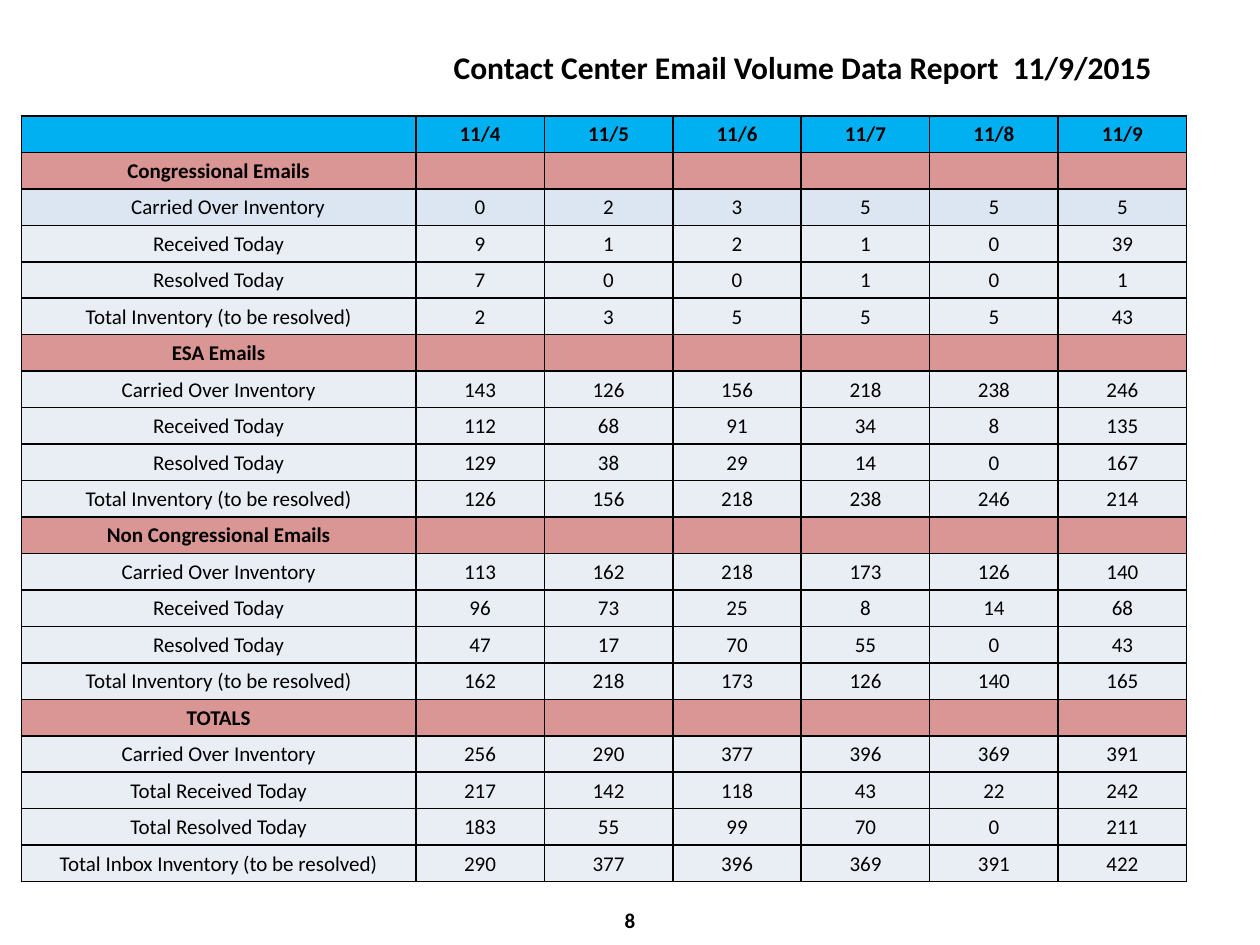
"""Build the contact center email volume report slide."""
from dataclasses import dataclass

from lxml import etree
from pptx import Presentation
from pptx.dml.color import RGBColor
from pptx.enum.text import MSO_ANCHOR, MSO_AUTO_SIZE, PP_ALIGN
from pptx.oxml.ns import qn
from pptx.util import Pt

LEFT, CENTER = PP_ALIGN.LEFT, PP_ALIGN.CENTER
TOP, MIDDLE = MSO_ANCHOR.TOP, MSO_ANCHOR.MIDDLE
GROW = MSO_AUTO_SIZE.SHAPE_TO_FIT_TEXT

FONT = "Calibri"
BLACK, HEADER_BLUE, SECTION_RED = "000000", "00B0F0", "D99694"
FIRST_ROW_BLUE, ROW_GRAY = "DCE6F2", "E9EDF4"
TABLE_LEFT, TABLE_TOP = 12.24, 66.24
LABEL_WIDTH, DAY_WIDTH, ROW_HEIGHT = 225.36, 73.44, 20.85
CELL_MARGIN, FIRST_ROW_INDENT = 0.72, 10.85
BODY_SIZE, TITLE_SIZE = 12, 18
DAYS = ("11/4", "11/5", "11/6", "11/7", "11/8", "11/9")


@dataclass(frozen=True)
class Row:
    label: str
    values: tuple
    fill: str = ROW_GRAY
    bold: bool = False
    indent: float = 0


@dataclass(frozen=True)
class Section:
    heading: str
    carried: tuple
    received: tuple
    resolved: tuple
    remaining: tuple
    labels: tuple = ("Carried Over Inventory", "Received Today", "Resolved Today",
                     "Total Inventory (to be resolved)")


SECTIONS = (
    Section("Congressional Emails", (0, 2, 3, 5, 5, 5), (9, 1, 2, 1, 0, 39),
            (7, 0, 0, 1, 0, 1), (2, 3, 5, 5, 5, 43)),
    Section("ESA Emails", (143, 126, 156, 218, 238, 246), (112, 68, 91, 34, 8, 135),
            (129, 38, 29, 14, 0, 167), (126, 156, 218, 238, 246, 214)),
    Section("Non Congressional Emails", (113, 162, 218, 173, 126, 140),
            (96, 73, 25, 8, 14, 68), (47, 17, 70, 55, 0, 43),
            (162, 218, 173, 126, 140, 165)),
    Section("TOTALS", (256, 290, 377, 396, 369, 391), (217, 142, 118, 43, 22, 242),
            (183, 55, 99, 70, 0, 211), (290, 377, 396, 369, 391, 422),
            ("Carried Over Inventory", "Total Received Today", "Total Resolved Today",
             "Total Inbox Inventory (to be resolved)")),
)


def color(value: str) -> RGBColor:
    """Turn a hex string into a colour."""
    return RGBColor.from_string(value)


def write(paragraph, text: str, size: float, bold: bool, alignment) -> None:
    """Add one formatted run to a paragraph."""
    paragraph.alignment = alignment
    run = paragraph.add_run()
    run.text = text
    run.font.name = FONT
    run.font.size = Pt(size)
    run.font.bold = bold
    run.font.color.rgb = color(BLACK)


def add_borders(cell) -> None:
    """Draw a one-point black line on every side of a cell."""
    properties = cell._tc.get_or_add_tcPr()
    for side in ("a:lnL", "a:lnR", "a:lnT", "a:lnB"):
        line = etree.SubElement(properties, qn(side), w=str(Pt(1)))
        fill = etree.SubElement(line, qn("a:solidFill"))
        etree.SubElement(fill, qn("a:srgbClr"), val=BLACK)


def fill_cell(cell, text: str, row: Row, indent: float) -> None:
    """Format one table cell and write its text."""
    add_borders(cell)
    cell.fill.solid()
    cell.fill.fore_color.rgb = color(row.fill)
    cell.vertical_anchor = MIDDLE
    cell.margin_left = Pt(CELL_MARGIN + indent)
    cell.margin_right = cell.margin_top = Pt(CELL_MARGIN)
    cell.margin_bottom = Pt(0)
    paragraph = cell.text_frame.paragraphs[0]
    if text:
        write(paragraph, text, BODY_SIZE, row.bold, CENTER)
    else:
        etree.SubElement(paragraph._p, qn("a:endParaRPr"), sz=str(BODY_SIZE * 100))


def report_rows() -> list[Row]:
    """List the table rows from the header to the totals."""
    rows = [Row("", DAYS, HEADER_BLUE, True)]
    for section in SECTIONS:
        rows.append(Row(section.heading, ("",) * len(DAYS), SECTION_RED, True))
        series = (section.carried, section.received, section.resolved, section.remaining)
        for label, values in zip(section.labels, series):
            first = len(rows) == 2
            rows.append(Row(label, values, FIRST_ROW_BLUE if first else ROW_GRAY,
                            indent=FIRST_ROW_INDENT if first else 0))
    return rows


def add_report_table(slide, rows: list[Row]) -> None:
    """Add the email volume table."""
    widths = [LABEL_WIDTH] + [DAY_WIDTH] * len(DAYS)
    table = slide.shapes.add_table(
        len(rows), len(widths), Pt(TABLE_LEFT), Pt(TABLE_TOP),
        Pt(sum(widths)), Pt(ROW_HEIGHT * len(rows))).table
    table.first_row = table.horz_banding = False
    for column, width in zip(table.columns, widths):
        column.width = Pt(width)
    for table_row, row in zip(table.rows, rows):
        table_row.height = Pt(ROW_HEIGHT)
        for index, value in enumerate((row.label, *row.values)):
            fill_cell(table_row.cells[index], str(value), row, 0 if index else row.indent)


def add_title(slide) -> None:
    """Place and write the slide title."""
    title = slide.shapes.title
    title.left, title.top, title.width, title.height = Pt(252), Pt(24), Pt(462), Pt(29)
    frame = title.text_frame
    frame.word_wrap = True
    frame.auto_size = GROW
    frame.vertical_anchor = TOP
    write(frame.paragraphs[0], "Contact Center Email Volume Data Report  11/9/2015",
          TITLE_SIZE, True, LEFT)


def add_page_number(slide) -> None:
    """Add the page number below the table."""
    frame = slide.shapes.add_textbox(Pt(246), Pt(511), Pt(228), Pt(29)).text_frame
    frame.word_wrap = True
    frame.vertical_anchor = MIDDLE
    write(frame.paragraphs[0], "8", BODY_SIZE, True, CENTER)


def main() -> None:
    """Create and save the presentation."""
    presentation = Presentation()
    presentation.slide_width, presentation.slide_height = Pt(720), Pt(540)
    slide = presentation.slides.add_slide(presentation.slide_layouts[5])
    add_page_number(slide)
    add_title(slide)
    add_report_table(slide, report_rows())
    presentation.save("out.pptx")


main()
